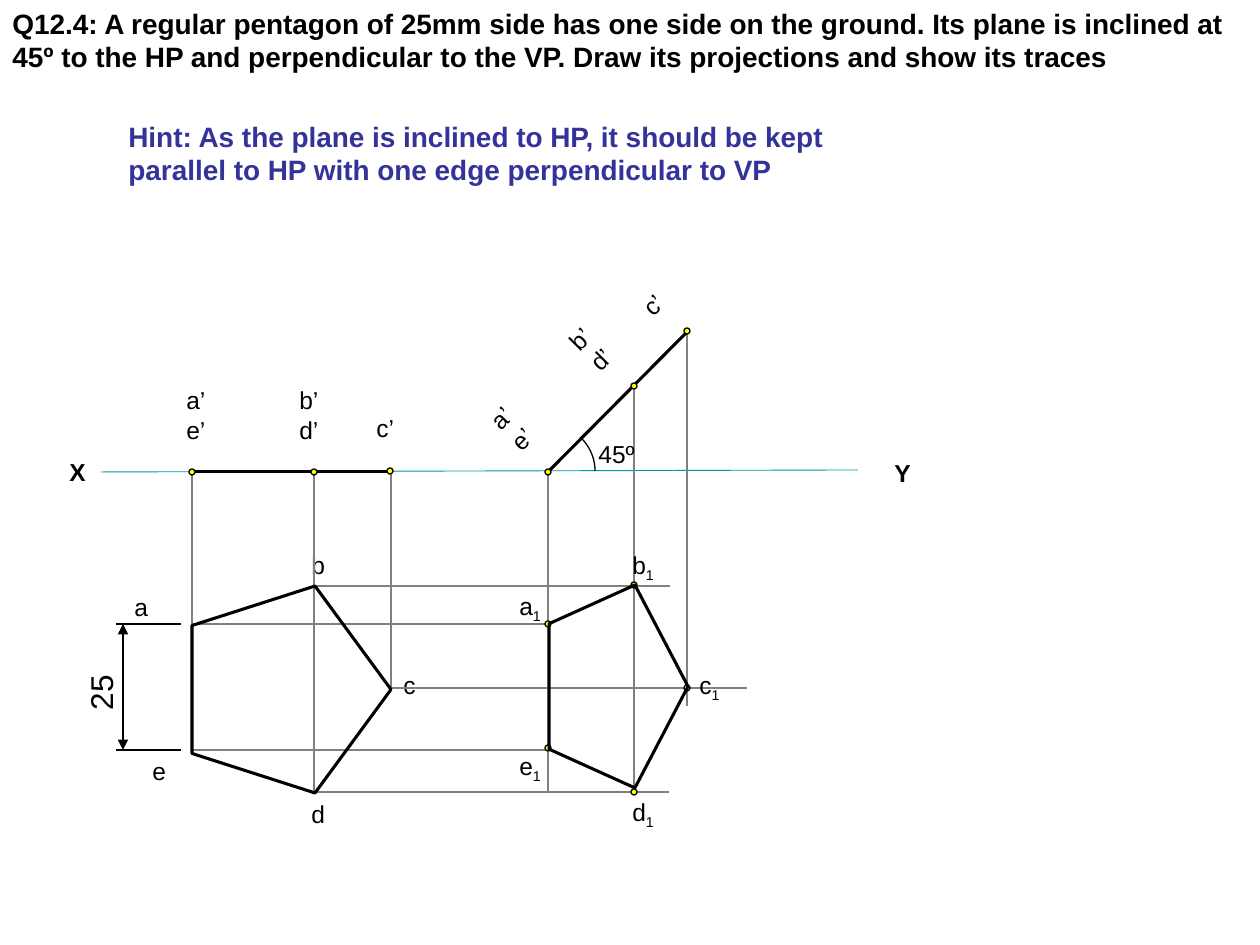
from pptx import Presentation, util as u
from pptx.dml.color import RGBColor
from pptx.enum import shapes as s
from pptx.oxml.ns import qn
from lxml import etree

PX = 914400 // 126
COLORS = {"black": "000000", "grey": "808080", "teal": "009999",
          "blue": "333399", "yellow": "FFFF00"}
SMALL = 42  # height of a one-line label
TALL = 72   # height of a two-line label
DOT = 6

deck = Presentation()
deck.slide_width, deck.slide_height = 1260 * PX, 945 * PX
slide = deck.slides.add_slide(deck.slide_layouts[6])
items = slide.shapes


def label(words, x, y, w=53, h=SMALL, size=14, color="black",
          bold=False, turn=0, sub=""):
    """Add a wrapped text box, with an optional subscript after the words."""
    box = items.add_textbox(x * PX, y * PX, w * PX, h * PX)
    box.rotation = turn
    box.text_frame.word_wrap = True
    para = box.text_frame.paragraphs[0]
    para.add_run().text = words
    if sub:
        run = para.add_run()
        run.text = sub
        run._r.get_or_add_rPr().set("baseline", "-25000")
    para.font.name, para.font.size, para.font.bold = "Arial", u.Pt(size), bold
    para.font.color.rgb = RGBColor.from_string(COLORS[color])


def line(x1, y1, x2, y2, color="grey", width=0.75):
    link = items.add_connector(s.MSO_CONNECTOR.STRAIGHT,
                               x1 * PX, y1 * PX, x2 * PX, y2 * PX)
    link.line.color.rgb = RGBColor.from_string(COLORS[color])
    link.line.width = u.Pt(width)
    etree.SubElement(link._element.spPr, qn("a:effectLst"))
    return link


# Reference line, question and hint
line(101, 472, 858, 470, "teal", 0.5)
label("X", 57, 451, 58, bold=True)
label("Y", 882, 452, 38, bold=True)
label("Q12.4: A regular pentagon of 25mm side has one side on the ground. "
      "Its plane is inclined at 45º to the HP and perpendicular to the VP. "
      "Draw its projections and show its traces", 0, 0, 1260, 81, 16, bold=True)
label("Hint: As the plane is inclined to HP, it should be kept parallel to HP "
      "with one edge perpendicular to VP", 116, 113, 742, 81, 16, "blue", True)

# Corner names of the first top view
for name, x, y in [("a", 122, 586), ("b", 299, 544), ("c", 391, 664),
                   ("d", 299, 793), ("e", 140, 750)]:
    label(name, x, y)

# Side dimension
for y in (624, 750):
    line(181, y, 116, y, "black")
size = line(123, 624, 123, 750, "black")
for end in ("a:headEnd", "a:tailEnd"):
    etree.SubElement(size.line._get_or_add_ln(), qn(end), type="triangle")
label("25", 64, 661, 73, 50, 18, turn=270)

# Projectors
for x, top, foot in [(192, 470, 627), (314, 472, 793), (391, 472, 688),
                     (548, 472, 793), (634, 386, 793), (687, 333, 706)]:
    line(x, top, x, foot)
for y, left, right in [(624, 192, 548), (750, 192, 548), (586, 314, 670),
                       (792, 313, 669), (688, 391, 747)]:
    line(left, y, right, y)

# Front views, flat and tilted
line(192, 472, 391, 472, "black", 1.75)
line(548, 472, 688, 331, "black", 1.75)
for name, x, y, h, turn in [
        ("a’e’", 174, 379, TALL, 0), ("b’d’", 287, 379, TALL, 0),
        ("c’", 364, 407, SMALL, 0), ("a’e’", 488, 389, TALL, 315),
        ("b’d’", 567, 310, TALL, 315), ("c’", 630, 280, SMALL, 315)]:
    label(name, x, y, h=h, turn=turn)

# Corner points
for x, y in [(192, 472), (314, 472), (390, 471),
             (548, 472), (634, 386), (687, 331),
             (548, 624), (634, 585), (687, 688), (634, 792), (548, 748)]:
    dot = items.add_shape(s.MSO_SHAPE.OVAL, (x - DOT // 2) * PX,
                          (y - DOT // 2) * PX, DOT * PX, DOT * PX)
    dot.shadow.inherit = False
    dot.fill.solid()
    dot.fill.fore_color.rgb = RGBColor.from_string(COLORS["yellow"])
    dot.line.color.rgb = RGBColor.from_string(COLORS["black"])
    dot.line.width = u.Pt(0.75)

# Top views and the angle mark
PENTA, ARC = s.MSO_SHAPE.REGULAR_PENTAGON, s.MSO_SHAPE.ARC
for kind, x, y, w, h, turn, width in [
        (PENTA, 188, 590, 207, 199, 90, 1.75),
        (PENTA, 517, 617, 203, 139, 90, 1.75),
        (ARC, 503, 425, 92, 92, 0, 0.75)]:
    form = items.add_shape(kind, x * PX, y * PX, w * PX, h * PX)
    form.rotation = turn
    form.shadow.inherit = False
    form.fill.background()
    form.line.color.rgb = RGBColor.from_string(COLORS["black"])
    form.line.width = u.Pt(width)
    if kind == ARC:
        form.adjustments[0] = 315 * 0.6  # start angle, 60000 units a degree
        form.adjustments[1] = 0
label("45º", 586, 433, 69)

# Corner names of the second top view
for name, x, y in [("a", 507, 585), ("b", 620, 544), ("c", 687, 664),
                   ("d", 620, 791), ("e", 507, 745)]:
    label(name, x, y, sub="1")

deck.save("out.pptx")
